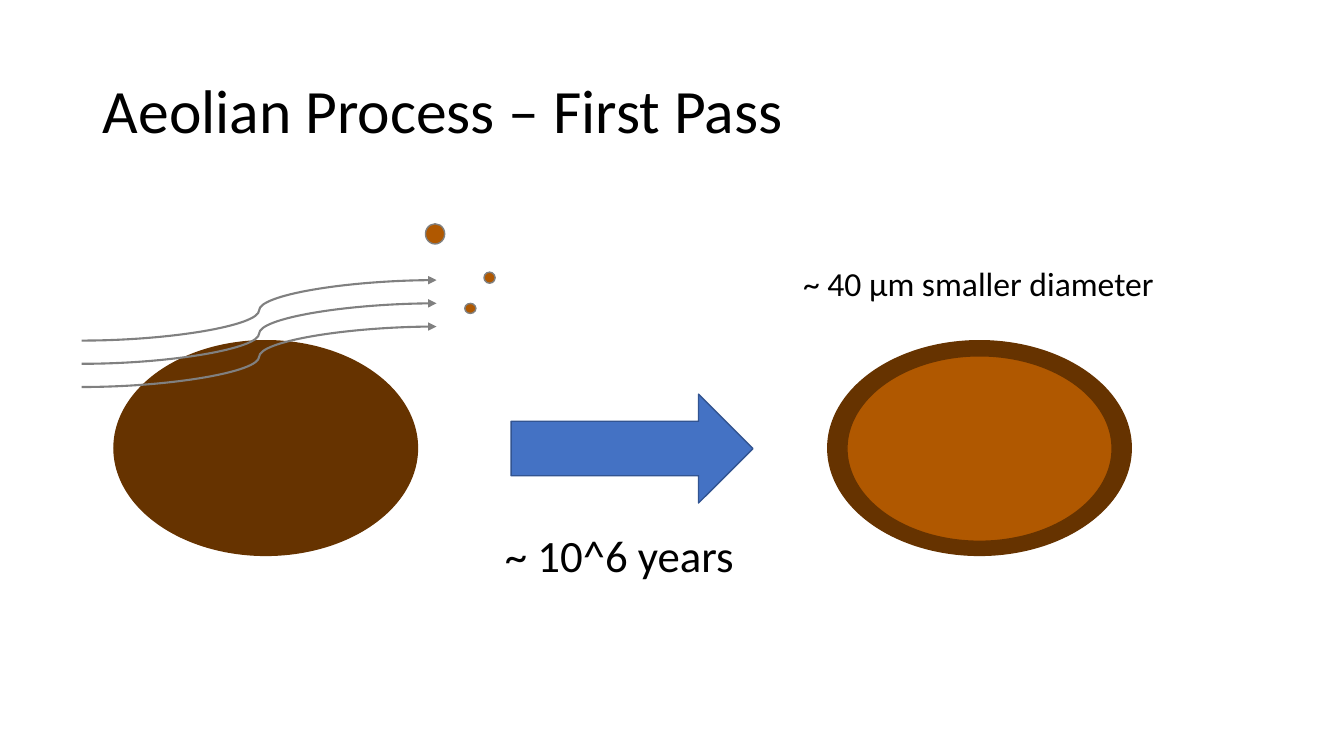
"""Builds the slide on aeolian erosion of a grain."""
import dataclasses

import pptx
import pptx.dml.color
import pptx.enum.shapes
import pptx.enum.text
import pptx.oxml
import pptx.oxml.ns
import pptx.slide
import pptx.text.text
import pptx.util

SLIDE_WIDTH = pptx.util.Inches(13.333)
SLIDE_HEIGHT = pptx.util.Inches(7.5)
OVAL = pptx.enum.shapes.MSO_SHAPE.OVAL
RIGHT_ARROW = pptx.enum.shapes.MSO_SHAPE.RIGHT_ARROW
LEFT = pptx.enum.text.PP_ALIGN.LEFT
CENTER = pptx.enum.text.PP_ALIGN.CENTER
MIDDLE = pptx.enum.text.MSO_ANCHOR.MIDDLE
CRUST, CORE, WIND = "663300", "B05800", "808080"
TIME_FILL, TIME_EDGE, INK = "4472C4", "325491", "000000"


@dataclasses.dataclass(frozen=True)
class Area:
    """A box in percent of the slide's width and height."""
    left: float
    top: float
    width: float
    height: float

    def emu(self) -> tuple[int, int, int, int]:
        """Return left, top, width and height in EMU."""
        return (across(self.left), down(self.top),
                across(self.width), down(self.height))


@dataclasses.dataclass(frozen=True)
class Body:
    """A filled and outlined preset shape."""
    area: Area
    fill: str
    edge: str
    preset: pptx.enum.shapes.MSO_SHAPE = OVAL


@dataclasses.dataclass(frozen=True)
class Caption:
    """A line of free text on the slide."""
    area: Area
    words: str
    size: int
    align: pptx.enum.text.PP_ALIGN


TITLE_AREA = Area(6.9, 5.33, 86.25, 19.33)
BODIES_BEHIND = [Body(Area(8.48, 45.07, 22.58, 28.4), CRUST, CRUST)]
BODIES_IN_FRONT = [
    Body(Area(61.59, 45.07, 22.58, 28.4), CRUST, CRUST),
    Body(Area(63.02, 47.07, 19.73, 24.53), CORE, CRUST),
    Body(Area(38.03, 52.13, 18, 14.4), TIME_FILL, TIME_EDGE, RIGHT_ARROW),
    Body(Area(31.66, 29.6, 1.43, 2.67), CORE, WIND),
    Body(Area(34.58, 40.13, 0.83, 1.33), CORE, WIND),
    Body(Area(36.01, 36, 0.83, 1.47), CORE, WIND),
]
CAPTIONS = [
    Caption(Area(36.83, 69.2, 20.25, 8.53), "~ 10^6 years", 32, LEFT),
    Caption(Area(54.99, 34.13, 35.63, 6.67), "~ 40 µm smaller diameter", 24, CENTER),
]
WIND_COUNT, WIND_GAP, WIND_RISE = 3, 3.07, 8
WIND_LEFT, WIND_RIGHT, WIND_LOWEST = 6.08, 32.48, 51.2


def across(percent: float) -> int:
    """Turn a share of the slide's width into EMU."""
    return round(SLIDE_WIDTH * percent / 100)


def down(percent: float) -> int:
    """Turn a share of the slide's height into EMU."""
    return round(SLIDE_HEIGHT * percent / 100)


def colour(hex_code: str) -> pptx.dml.color.RGBColor:
    """Turn a hex string into a colour."""
    return pptx.dml.color.RGBColor.from_string(hex_code)


def write(frame: pptx.text.text.TextFrame, words: str, *, size: int,
          align: pptx.enum.text.PP_ALIGN = LEFT, spacing: float = 1.0) -> None:
    """Write one formatted paragraph into a text frame."""
    frame.word_wrap = True
    paragraph = frame.paragraphs[0]
    paragraph.alignment = align
    paragraph.line_spacing = spacing
    run = paragraph.add_run()
    run.text = words
    run.font.name = "Calibri"
    run.font.size = pptx.util.Pt(size)
    run.font.color.rgb = colour(INK)


def draw_body(slide: pptx.slide.Slide, body: Body) -> None:
    """Draw one grain, chip or arrow."""
    drawn = slide.shapes.add_shape(body.preset, *body.area.emu())
    drawn.shadow.inherit = False
    drawn.fill.solid()
    drawn.fill.fore_color.rgb = colour(body.fill)
    drawn.line.color.rgb = colour(body.edge)
    drawn.line.width = pptx.util.Pt(1)


def draw_wind(slide: pptx.slide.Slide, start: float) -> None:
    """Draw one curved gust that rises from the given height."""
    gust = slide.shapes.add_connector(
        pptx.enum.shapes.MSO_CONNECTOR.CURVE,
        across(WIND_LEFT), down(start),
        across(WIND_RIGHT), down(start - WIND_RISE))
    gust.line.color.rgb = colour(WIND)
    gust.line.width = pptx.util.Pt(1.5)
    namespace = pptx.oxml.ns.nsdecls("a")
    gust.line._get_or_add_ln().append(
        pptx.oxml.parse_xml(f'<a:tailEnd {namespace} type="triangle"/>'))
    gust._element.spPr.append(pptx.oxml.parse_xml(f"<a:effectLst {namespace}/>"))


def draw_caption(slide: pptx.slide.Slide, caption: Caption) -> None:
    """Place one caption in a text box."""
    label = slide.shapes.add_textbox(*caption.area.emu())
    write(label.text_frame, caption.words, size=caption.size, align=caption.align)


def main() -> None:
    """Build and save the slide."""
    deck = pptx.Presentation()
    deck.slide_width, deck.slide_height = SLIDE_WIDTH, SLIDE_HEIGHT
    slide = deck.slides.add_slide(deck.slide_layouts[5])
    heading = slide.shapes.title
    heading.left, heading.top, heading.width, heading.height = TITLE_AREA.emu()
    heading.text_frame.vertical_anchor = MIDDLE
    write(heading.text_frame, "Aeolian Process – First Pass", size=44, spacing=0.9)
    for body in BODIES_BEHIND:
        draw_body(slide, body)
    for step in range(WIND_COUNT):
        draw_wind(slide, WIND_LOWEST - step * WIND_GAP)
    for body in BODIES_IN_FRONT:
        draw_body(slide, body)
    for caption in CAPTIONS:
        draw_caption(slide, caption)
    deck.save("out.pptx")


if __name__ == "__main__":
    main()
